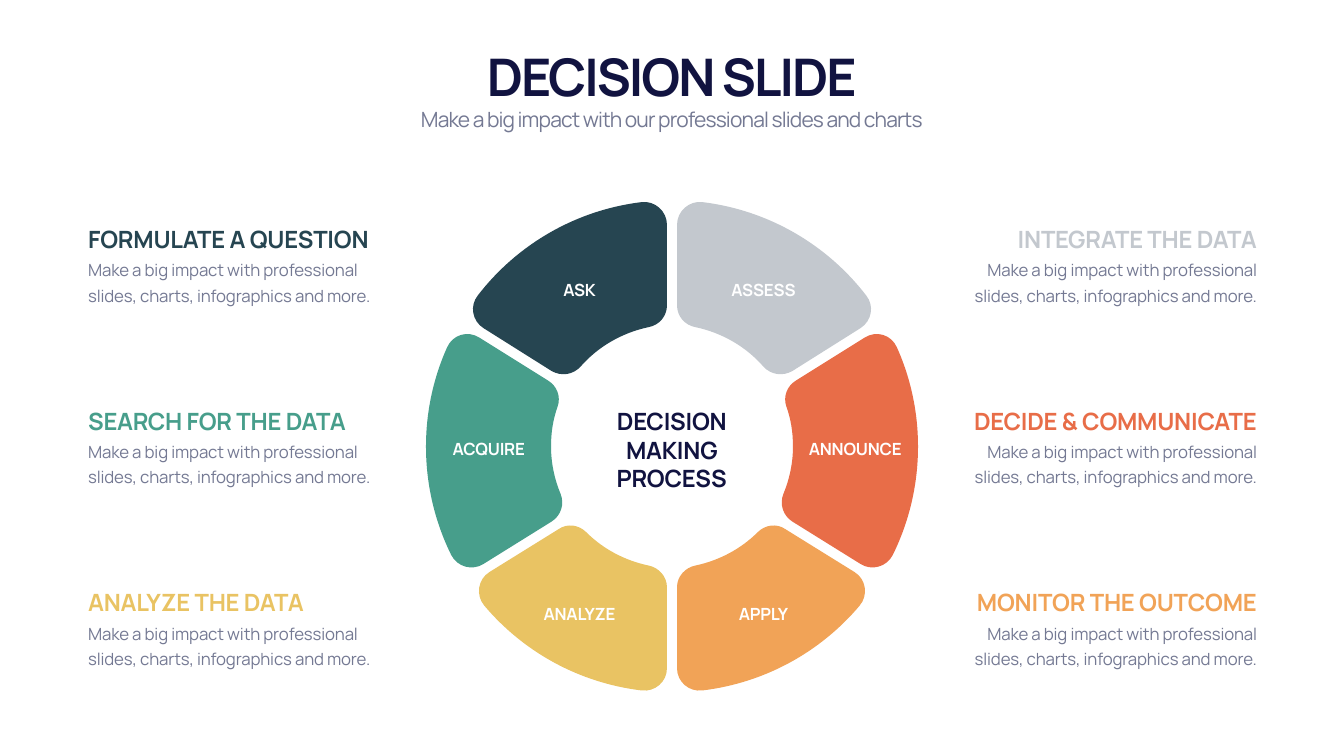
from lxml import etree
from pptx import Presentation
from pptx.dml.color import RGBColor
from pptx.enum.text import MSO_ANCHOR, MSO_AUTO_SIZE, PP_ALIGN
from pptx.oxml.ns import qn
from pptx.util import Inches, Pt

TOP, MIDDLE, BOTTOM = MSO_ANCHOR.TOP, MSO_ANCHOR.MIDDLE, MSO_ANCHOR.BOTTOM
LEFT, CENTER, RIGHT = PP_ALIGN.LEFT, PP_ALIGN.CENTER, PP_ALIGN.RIGHT
GROW = MSO_AUTO_SIZE.SHAPE_TO_FIT_TEXT
W, H = 26.66, 15
NAVY, GRAY, WHITE = "111340", "747993", "FFFFFF"
FONT = "Manrope"

TITLE = "DECISION SLIDE"
SUBTITLE = "Make a big impact with our professional slides and charts"
HUB = "DECISION MAKING PROCESS"
BODY = "Make a big impact with professional slides, charts, infographics and more."

ROWS = [
    [("FORMULATE A QUESTION", "ASK", "264551"),
     ("INTEGRATE THE DATA", "ASSESS", "C3C8CE")],
    [("SEARCH FOR THE DATA", "ACQUIRE", "479E8B"),
     ("DECIDE & COMMUNICATE", "ANNOUNCE", "E86D48")],
    [("ANALYZE THE DATA", "ANALYZE", "E9C363"),
     ("MONITOR THE OUTCOME", "APPLY", "F1A357")],
]
ROW_TOPS = [4.4, 8.01, 11.61]
COLUMNS = [(1.65, LEFT), (18.71, RIGHT)]
LABEL_SPOTS = [((10.37, 14.02), 5.5), ((8.57, 15.84), 8.65), ((10.37, 14.02), 11.92)]

RIGHT_SEGMENTS = [
    [(13.43, 4.46), (13.43, 6.06),
     (13.43, 6.27, 13.58, 6.45, 13.79, 6.49),
     (14.32, 6.6, 14.8, 6.88, 15.14, 7.27),
     (15.29, 7.44, 15.53, 7.47, 15.72, 7.36),
     (17.07, 6.51),
     (17.29, 6.37, 17.35, 6.07, 17.18, 5.86),
     (16.41, 4.86, 15.25, 4.17, 13.93, 4.01),
     (13.67, 3.98, 13.43, 4.19, 13.43, 4.46)],
    [(15.73, 8.86),
     (15.73, 9.19, 15.66, 9.51, 15.54, 9.8),
     (15.46, 10, 15.53, 10.23, 15.72, 10.35),
     (17.07, 11.19),
     (17.29, 11.33, 17.59, 11.25, 17.71, 11.01),
     (18.03, 10.36, 18.21, 9.63, 18.21, 8.86),
     (18.21, 8.16, 18.06, 7.49, 17.79, 6.89),
     (17.68, 6.64, 17.38, 6.55, 17.15, 6.7),
     (15.79, 7.55),
     (15.61, 7.66, 15.53, 7.87, 15.6, 8.07),
     (15.69, 8.32, 15.73, 8.58, 15.73, 8.86)],
    [(13.43, 11.65), (13.43, 13.26),
     (13.43, 13.53, 13.67, 13.73, 13.93, 13.7),
     (15.18, 13.55, 16.28, 12.93, 17.05, 12.02),
     (17.23, 11.81, 17.18, 11.49, 16.95, 11.35),
     (15.58, 10.5),
     (15.41, 10.38, 15.18, 10.41, 15.03, 10.56),
     (14.7, 10.89, 14.27, 11.12, 13.8, 11.22),
     (13.59, 11.26, 13.43, 11.44, 13.43, 11.65)],
]


def rgb(value):
    return RGBColor.from_string(value)


def round_off(shape, outline):
    lines = iter(list(shape._element.iter(qn("a:lnTo"))))
    for part in outline[1:]:
        group = [next(lines) for _ in range(len(part) // 2)]
        if len(group) == 3:
            curve = etree.Element(qn("a:cubicBezTo"))
            group[0].addprevious(curve)
            for line in group:
                curve.append(line[0])
                line.getparent().remove(line)


def add_segment(outline, color, mirrored):
    points = [(Inches(W - x if mirrored else x), Inches(y))
              for part in outline for x, y in zip(part[::2], part[1::2])]
    builder = s.shapes.build_freeform(*points[0], scale=1.0)
    builder.add_line_segments(points[1:], close=True)
    shape = builder.convert_to_shape()
    round_off(shape, outline)
    shape.shadow.inherit = False
    shape.fill.solid()
    shape.fill.fore_color.rgb = rgb(color)
    shape.line.fill.background()


def set_text(sp, text, size, color, bold=False, align=CENTER, anchor=TOP,
             tracking=-0.3, spacing=None):
    tf = sp.text_frame
    tf.word_wrap = True
    tf.auto_size = GROW
    tf.vertical_anchor = anchor
    p = tf.paragraphs[0]
    p.alignment = align
    if spacing:
        p.line_spacing = Pt(spacing)
    r = p.add_run()
    r.text = text
    r.font.name = FONT
    r.font.size = Pt(size)
    r.font.bold = bold
    r.font.color.rgb = rgb(color)
    r.font._element.set("spc", str(round(tracking * 100)))


def add_text(box, *args, **style):
    set_text(s.shapes.add_textbox(*map(Inches, box)), *args, **style)


prs = Presentation()
prs.slide_width, prs.slide_height = Inches(W), Inches(H)
s = prs.slides.add_slide(prs.slide_layouts[5])

for pair, outline in zip(ROWS, RIGHT_SEGMENTS):
    for side, (_, _, color) in enumerate(pair):
        add_segment(outline, color, mirrored=side == 0)

title = s.shapes.title
title.left, title.top, title.width, title.height = map(Inches, (1.66, 0.82, 23.33, 1.35))
set_text(title, TITLE, 74, NAVY, bold=True, anchor=BOTTOM, tracking=-2.9)
add_text((1.66, 2.07, 23.33, 0.61), SUBTITLE, 30, GRAY, tracking=-1.2)

for pair, top, (lefts, label_top) in zip(ROWS, ROW_TOPS, LABEL_SPOTS):
    for (heading, label, color), (x, align), left in zip(pair, COLUMNS, lefts):
        add_text((x, top, 6.32, 0.67), heading, 34, color,
                 bold=True, align=align, anchor=BOTTOM)
        add_text((x, top + 0.61, 6.32, 1.09), BODY, 24, GRAY,
                 align=align, tracking=-0.2, spacing=36)
        add_text((left, label_top, 2.25, 0.5), label, 24, WHITE,
                 bold=True, anchor=MIDDLE)

add_text((11.59, 8.01, 3.47, 1.82), HUB, 34, NAVY, bold=True, anchor=MIDDLE)

prs.save("out.pptx")
